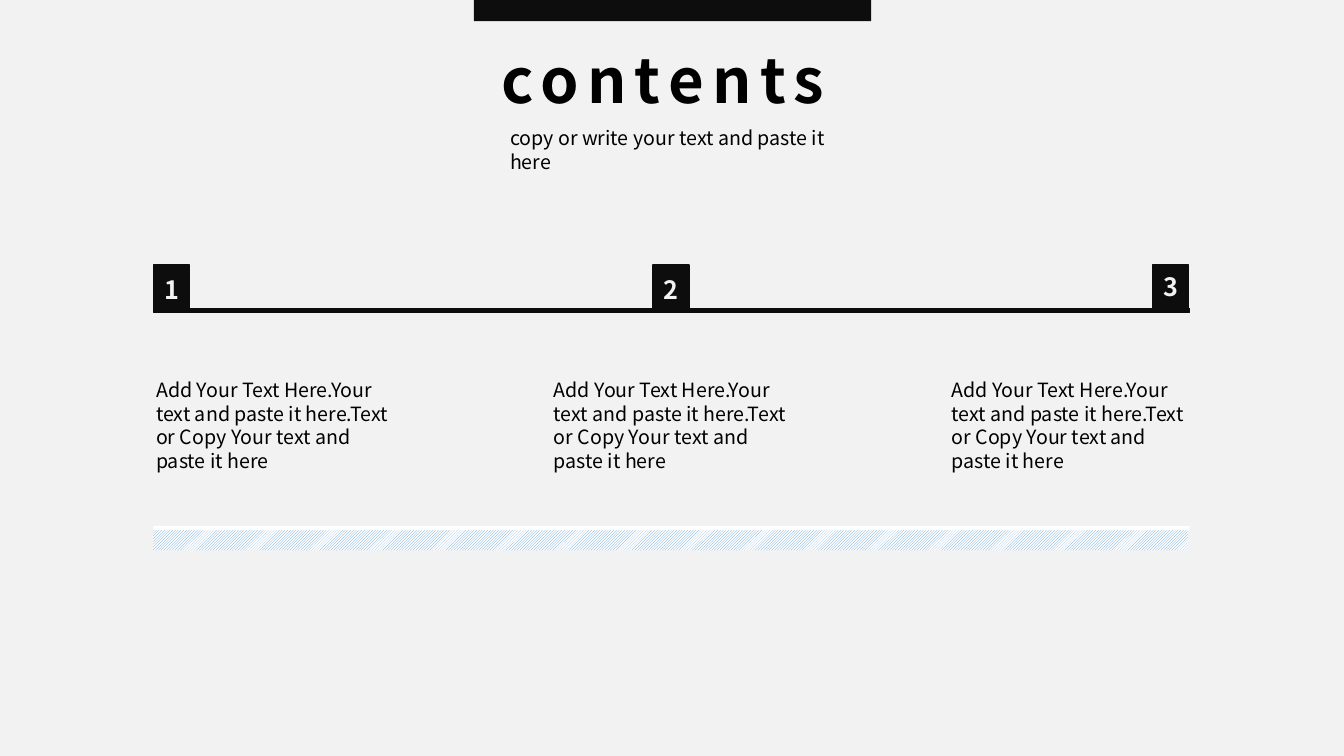
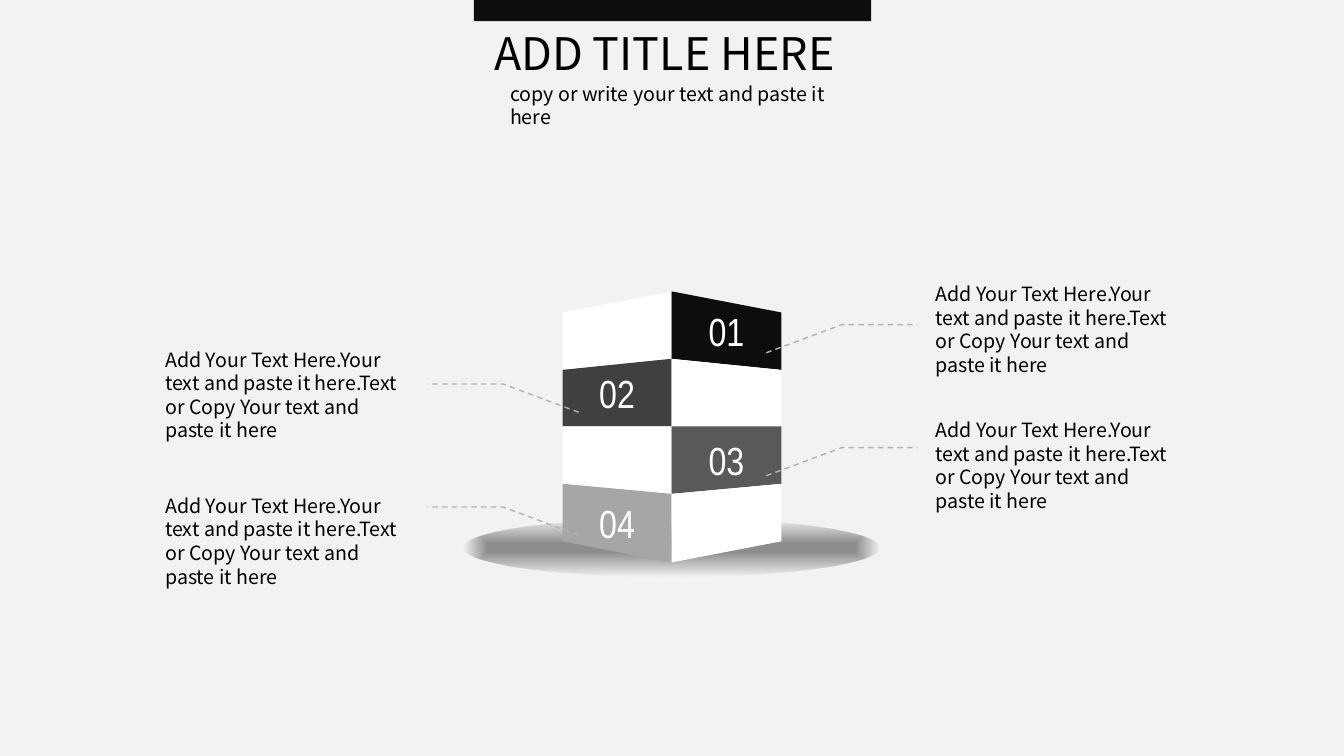
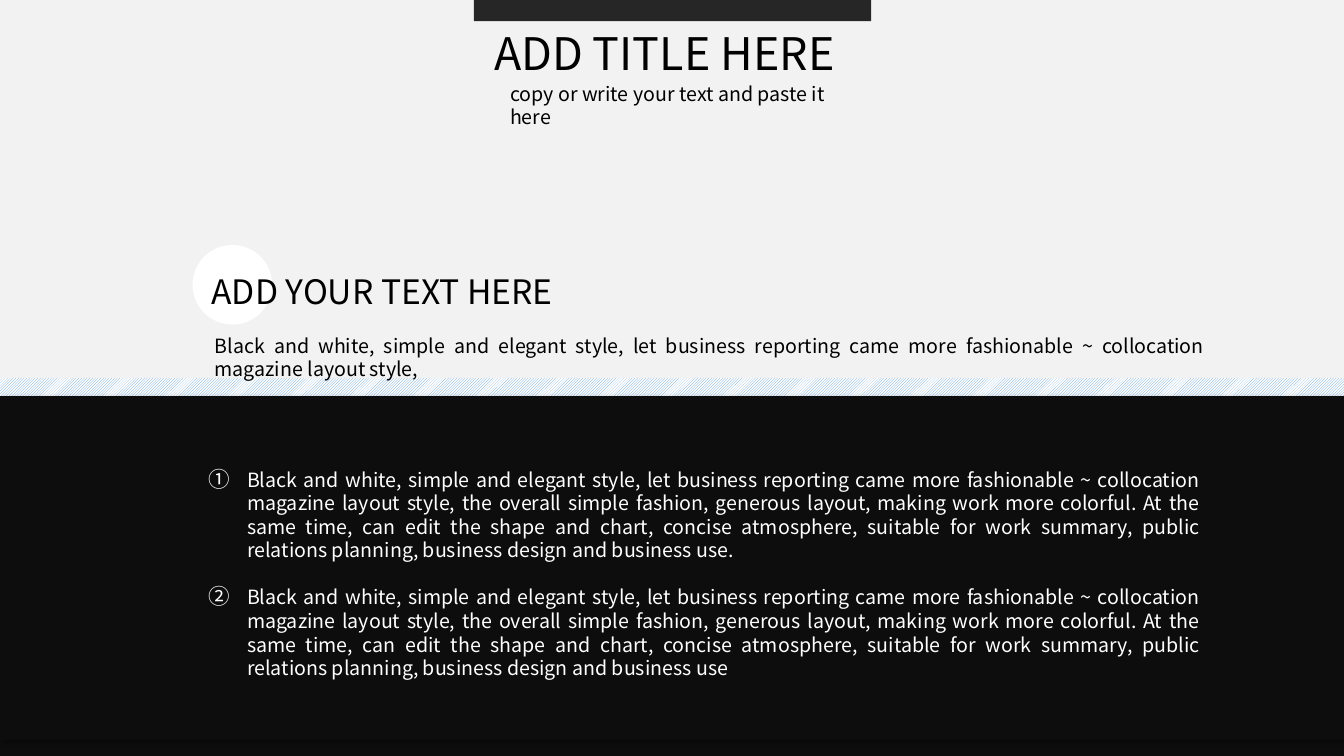
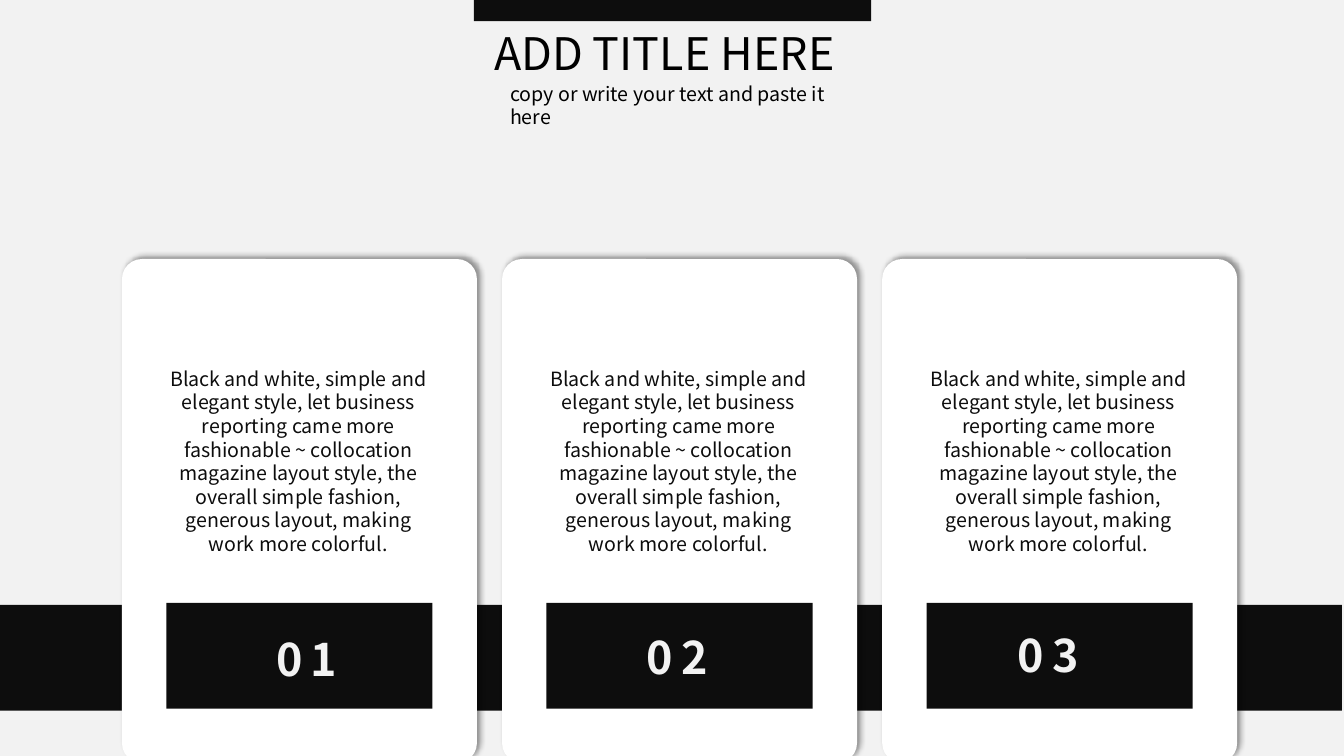
from dataclasses import dataclass
from typing import Optional

from pptx import Presentation
from pptx import util as u
from pptx.dml.color import RGBColor
from pptx.enum import dml, shapes, text
from pptx.oxml import parse_xml
from pptx.oxml.ns import nsdecls, qn

# Shared style
COLORS = {
    "background": "F2F2F2", "ink": "0D0D0D", "soft_ink": "262626",
    "black": "000000", "white": "FFFFFF", "stripe": "5B9BD5",
    "dark_gray": "404040", "mid_gray": "595959", "light_gray": "A6A6A6",
    "leader": "B2B2B2", "floor": "333333",
}
TITLE_FONT = "Noto Sans CJK JP"
BODY_FONT = "Noto Sans CJK SC"
NUMBER_FONT = "Arial Narrow"
RECTANGLE = shapes.MSO_SHAPE.RECTANGLE
ROUNDED = shapes.MSO_SHAPE.ROUNDED_RECTANGLE
OVAL = shapes.MSO_SHAPE.OVAL
ALIGN = text.PP_ALIGN

# Repeated wording
SUBTITLE = "copy or write your text and paste it here"
BLURB = ("Add Your Text Here.Your text and paste it here."
         "Text or Copy Your text and paste it here")
LEAD = ("Black and white, simple and elegant style, let business reporting came "
        "more fashionable ~ collocation magazine layout style,")
CARD_TEXT = LEAD + " the overall simple fashion, generous layout, making work more colorful."
LIST_TEXT = CARD_TEXT + (" At the same time, can edit the shape and chart, concise atmosphere, "
                         "suitable for work summary, public relations planning, "
                         "business design and business use")


@dataclass(frozen=True)
class Box:
    left: float
    top: float
    width: float
    height: float

    def lengths(self) -> tuple:
        return tuple(u.Inches(v) for v in (self.left, self.top, self.width, self.height))


@dataclass(frozen=True)
class TextStyle:
    size: float = 14
    font: str = BODY_FONT
    color: str = "black"
    bold: bool = False
    spacing: int = 0
    align: ALIGN = ALIGN.LEFT


@dataclass(frozen=True)
class Callout:
    leader_x: float
    leader_y: float
    direction: int
    text_left: float
    text_top: float


BODY = TextStyle()
HEADING = TextStyle(32, TITLE_FONT)
CONTENTS = TextStyle(44, TITLE_FONT, bold=True, spacing=6)
STEP_NUMBER = TextStyle(18, color="background", bold=True)
FACE_NUMBER = TextStyle(28, NUMBER_FONT, "white", align=ALIGN.CENTER)
CARD_NUMBER = TextStyle(32, TITLE_FONT, "background", bold=True, spacing=6)


def rgb(name: str) -> RGBColor:
    return RGBColor.from_string(COLORS[name])


# Text helpers
def style_paragraph(paragraph, style: TextStyle) -> None:
    paragraph.alignment = style.align
    font = paragraph.font
    font.name, font.size, font.bold = style.font, u.Pt(style.size), style.bold
    font.color.rgb = rgb(style.color)
    if style.spacing:
        paragraph._p.pPr.find(qn("a:defRPr")).set("spc", str(style.spacing * 100))


def write_text(shape, content: str, style: TextStyle,
               anchor=text.MSO_ANCHOR.TOP) -> None:
    frame = shape.text_frame
    frame.word_wrap = True
    frame.auto_size = text.MSO_AUTO_SIZE.NONE
    frame.vertical_anchor = anchor
    frame.text = content
    for paragraph in frame.paragraphs:
        style_paragraph(paragraph, style)


def add_text(slide, box: Box, content: str, style: TextStyle = BODY) -> None:
    write_text(slide.shapes.add_textbox(*box.lengths()), content, style)


def place(placeholder, box: Box) -> None:
    (placeholder.left, placeholder.top,
     placeholder.width, placeholder.height) = box.lengths()


# Shape helpers
def paint(shape, fill: Optional[str], line: Optional[str] = None, width: float = 1) -> None:
    shape.shadow.inherit = False
    if fill:
        shape.fill.solid()
        shape.fill.fore_color.rgb = rgb(fill)
    else:
        shape.fill.background()
    if line:
        shape.line.color.rgb = rgb(line)
        shape.line.width = u.Pt(width)
    else:
        shape.line.fill.background()


def add_block(slide, box: Box, fill: str, kind=RECTANGLE,
              line: Optional[str] = None, width: float = 1):
    shape = slide.shapes.add_shape(kind, *box.lengths())
    paint(shape, fill, line, width)
    return shape


def add_stripes(slide, box: Box) -> None:
    shape = add_block(slide, box, "white")
    shape.fill.patterned()
    shape.fill.pattern = dml.MSO_PATTERN.LIGHT_UPWARD_DIAGONAL
    shape.fill.fore_color.rgb = rgb("stripe")
    shape.fill.back_color.rgb = rgb("white")


def add_shadow(shape, degrees: int) -> None:
    effects = shape.element.spPr.find(qn("a:effectLst"))
    effects.append(parse_xml(
        f'<a:outerShdw {nsdecls("a")} blurRad="{u.Pt(4)}" dist="{u.Pt(3)}" '
        f'dir="{degrees * 60000}" algn="ctr" rotWithShape="0">'
        f'<a:srgbClr val="{COLORS["black"]}"><a:alpha val="40000"/></a:srgbClr>'
        '</a:outerShdw>'))


def add_outline(slide, points: list, closed: bool = True):
    start, *rest = [(u.Inches(x), u.Inches(y)) for x, y in points]
    builder = slide.shapes.build_freeform(*start, scale=1.0)
    builder.add_line_segments(rest, close=closed)
    return builder.convert_to_shape()


def add_slide(presentation, title: str = "ADD TITLE HERE", style: TextStyle = HEADING,
              title_box: Box = Box(4.8, 0.21, 3.73, 0.64), subtitle_top: float = 0.76,
              band: str = "ink", layout: int = 5):
    slide = presentation.slides.add_slide(presentation.slide_layouts[layout])
    place(slide.shapes.title, title_box)
    write_text(slide.shapes.title, title, style)
    add_block(slide, Box(4.7, 0, 3.94, 0.21), band)
    add_text(slide, Box(4.96, subtitle_top, 3.41, 0.34), SUBTITLE)
    return slide


# Contents: three steps on a line
def build_contents(presentation) -> None:
    slide = add_slide(presentation, "contents", CONTENTS, Box(4.87, 0.37, 3.73, 0.84), 1.2)
    add_stripes(slide, Box(1.52, 5.24, 10.26, 0.22))
    add_block(slide, Box(1.52, 5.22, 10.28, 0.04), "white")
    add_block(slide, Box(1.52, 3.06, 10.28, 0.04), "ink", line="ink")
    for index, label_top in enumerate((2.67, 2.67, 2.64)):
        left = 1.52 + index * 4.955
        add_block(slide, Box(left, 2.63, 0.36, 0.45), "ink", line="ink")
        label = add_block(slide, Box(left + 0.01, label_top, 0.35, 0.4), "ink",
                          line="ink", width=0.75)
        write_text(label, str(index + 1), STEP_NUMBER)
        add_text(slide, Box(1.45 + index * 3.945, 3.7, 2.66, 0.81), BLURB)


# Tower: four floors with callouts
def add_floor_glow(slide) -> None:
    ellipse = slide.shapes.add_shape(OVAL, *Box(4.6, 5.15, 4.12, 0.57).lengths())
    ellipse.shadow.inherit = False
    ellipse.line.fill.background()
    stops = "".join(
        f'<a:gs pos="{position}000"><a:srgbClr val="{COLORS["floor"]}">'
        f'<a:alpha val="{alpha}000"/></a:srgbClr></a:gs>'
        for position, alpha in ((15, 52), (100, 0)))
    gradient = parse_xml(
        f'<a:gradFill {nsdecls("a")} rotWithShape="1"><a:gsLst>{stops}</a:gsLst>'
        '<a:path path="shape"><a:fillToRect l="50000" t="50000" r="50000" b="50000"/>'
        '</a:path></a:gradFill>')
    ellipse.element.spPr.find(qn("a:prstGeom")).addnext(gradient)


def build_tower(presentation) -> None:
    slide = add_slide(presentation)
    add_floor_glow(slide)
    center = 6.66
    center_edges = (2.89, 3.56, 4.23, 4.9, 5.58)
    outer_edges = (3.1, 3.67, 4.23, 4.8, 5.37)
    floor_colors = ("ink", "dark_gray", "mid_gray", "light_gray")
    for side, outer in enumerate((7.75, 5.58)):
        for row, color in enumerate(floor_colors):
            numbered = row % 2 == side
            face = add_outline(slide, [
                (center, center_edges[row]), (outer, outer_edges[row]),
                (outer, outer_edges[row + 1]), (center, center_edges[row + 1])])
            paint(face, color if numbered else "white")
            if numbered:
                write_text(face, f"{row + 1:02}", FACE_NUMBER, text.MSO_ANCHOR.MIDDLE)

    callouts = (
        Callout(7.6, 3.5, 1, 9.18, 2.75), Callout(7.6, 4.72, 1, 9.18, 4.1),
        Callout(5.74, 4.09, -1, 1.54, 3.4), Callout(5.74, 5.31, -1, 1.54, 4.85),
    )
    for callout in callouts:
        x, y, direction = callout.leader_x, callout.leader_y, callout.direction
        leader = add_outline(slide, [(x, y), (x + 0.75 * direction, y - 0.28),
                                     (x + 1.5 * direction, y - 0.28)], closed=False)
        paint(leader, None, "leader")
        leader.line.dash_style = dml.MSO_LINE.DASH
        add_text(slide, Box(callout.text_left, callout.text_top, 2.66, 0.81), BLURB)


# Numbered list on a dark panel
def number_paragraph(paragraph) -> None:
    paragraph.space_before = u.Pt(0)
    paragraph.space_after = u.Pt(16.8)
    properties = paragraph._p.get_or_add_pPr()
    properties.set("marL", str(u.Inches(0.38)))
    properties.set("indent", str(u.Inches(-0.38)))
    defaults = properties.find(qn("a:defRPr"))
    for bullet in ('buSzPct {} val="110000"', f'buFont {{}} typeface="{BODY_FONT}"',
                   'buAutoNum {} type="circleNumDbPlain"'):
        defaults.addprevious(parse_xml(f'<a:{bullet.format(nsdecls("a"))}/>'))


def build_list(presentation) -> None:
    slide = add_slide(presentation, band="soft_ink", layout=1)
    add_stripes(slide, Box(0, 3.75, 13.33, 0.38))
    add_block(slide, Box(0, 4.13, 13.33, 3.37), "ink")
    add_shadow(add_block(slide, Box(0, 3.93, 13.33, 3.41), "ink"), 45)
    add_block(slide, Box(1.91, 2.43, 0.79, 0.79), "white", OVAL)
    add_text(slide, Box(2, 2.64, 4.06, 0.5), "ADD YOUR TEXT HERE", TextStyle(24, TITLE_FONT))
    add_text(slide, Box(2.03, 3.26, 10.02, 0.34), LEAD, TextStyle(align=ALIGN.JUSTIFY))

    body = slide.placeholders[1]
    place(body, Box(1.97, 4.59, 10.04, 1.99))
    write_text(body, f"{LIST_TEXT}.\n{LIST_TEXT}",
               TextStyle(color="white", align=ALIGN.JUSTIFY))
    for paragraph in body.text_frame.paragraphs:
        number_paragraph(paragraph)
    # Bring the list in front of the panel
    body.element.getparent().append(body.element)


# Three cards over a dark band
def build_cards(presentation) -> None:
    slide = add_slide(presentation)
    add_block(slide, Box(0, 6, 13.31, 1.05), "ink")
    for index in range(3):
        left = 1.21 + index * 3.77
        card = add_block(slide, Box(left, 2.57, 3.52, 5), "white", ROUNDED)
        card.adjustments[0] = 0.056
        add_shadow(card, 315)
        for offset in (0.39, 2.93):
            tab = add_block(slide, Box(left + offset, 5.86, 0.18, 1.26), "white", ROUNDED)
            tab.adjustments[0] = 0.5
        add_block(slide, Box(left + 0.44, 5.98, 2.64, 1.05), "ink")
        add_text(slide, Box(2.64 + index * 3.675, 6.22 - index * 0.02, 0.98, 0.64),
                 f"{index + 1:02}", CARD_NUMBER)
        add_text(slide, Box(left + 0.31, 3.59, 2.88, 1.75), CARD_TEXT,
                 TextStyle(color="ink", align=ALIGN.CENTER))


def main() -> None:
    presentation = Presentation()
    presentation.slide_width = u.Inches(13.33)
    presentation.slide_height = u.Inches(7.5)
    background = presentation.slide_master.background.fill
    background.solid()
    background.fore_color.rgb = rgb("background")
    for build in (build_contents, build_tower, build_list, build_cards):
        build(presentation)
    presentation.save("out.pptx")


if __name__ == "__main__":
    main()
